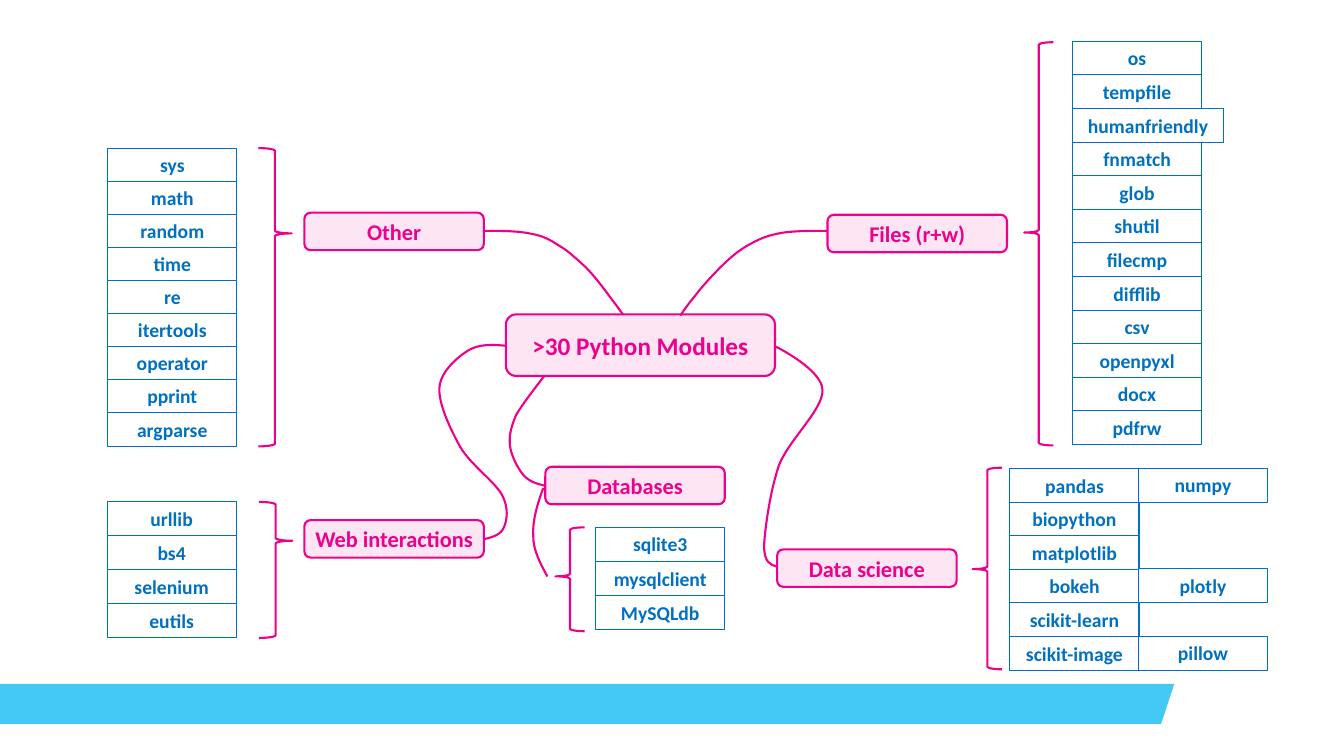
from dataclasses import dataclass

from lxml import etree
from pptx import Presentation
from pptx.dml.color import RGBColor
from pptx.enum.shapes import MSO_SHAPE
from pptx.enum.text import MSO_ANCHOR, MSO_AUTO_SIZE, PP_ALIGN
from pptx.oxml.ns import qn
from pptx.util import Pt

ROUNDED, RECTANGLE = MSO_SHAPE.ROUNDED_RECTANGLE, MSO_SHAPE.RECTANGLE
LEFT_BRACE, RIGHT_BRACE = MSO_SHAPE.LEFT_BRACE, MSO_SHAPE.RIGHT_BRACE
CENTER, MIDDLE, TOP = PP_ALIGN.CENTER, MSO_ANCHOR.MIDDLE, MSO_ANCHOR.TOP
FIT_SHAPE, NO_FIT = MSO_AUTO_SIZE.SHAPE_TO_FIT_TEXT, MSO_AUTO_SIZE.NONE

COLORS = {"pink": "EC008C", "blue": "0070C0", "sky": "44C8F5", "white": "FFFFFF"}
FONT = "Calibri"
MODULE_WIDTH, MODULE_HEIGHT = 92.2, 24.25
BRANCH_WIDTH, BRANCH_HEIGHT = 128.2, 26.8
WIDE_MODULES = {"humanfriendly": 108}


@dataclass
class Topic:
    text: str
    left: float
    top: float
    width: float = BRANCH_WIDTH
    height: float = BRANCH_HEIGHT
    size: float = 16


@dataclass
class ModuleColumn:
    left: float
    top: float
    pitch: float
    names: list[str]  # an empty name leaves its row free


@dataclass
class Brace:
    kind: int
    left: float
    top: float
    width: float
    height: float
    tip: float


TOPICS = [
    Topic(">30 Python Modules", 361.4, 224.6, 192.2, 44, 18),
    Topic("Other", 217.4, 151.9),
    Topic("Files (r+w)", 591.1, 153.4),
    Topic("Web interactions", 217.4, 371.5),
    Topic("Data science", 555.1, 392.4),
    Topic("Databases", 389.5, 333.4),
]

COLUMNS = [
    ModuleColumn(77, 105.8, 23.6, ["sys", "math", "random", "time", "re", "itertools",
                                   "operator", "pprint", "argparse"]),
    ModuleColumn(766.1, 29.5, 24, ["os", "tempfile", "humanfriendly", "fnmatch", "glob",
                                   "shutil", "filecmp", "difflib", "csv", "openpyxl",
                                   "docx", "pdfrw"]),
    ModuleColumn(76.5, 358.5, 24.25, ["urllib", "bs4", "selenium", "eutils"]),
    ModuleColumn(425.5, 376.7, 24.4, ["sqlite3", "mysqlclient", "MySQLdb"]),
    ModuleColumn(721.4, 334.7, 24, ["pandas", "biopython", "matplotlib", "bokeh",
                                    "scikit-learn", "scikit-image"]),
    ModuleColumn(813.2, 334.4, 24, ["numpy", "", "", "plotly", "", "pillow"]),
]

BRACES = [
    Brace(RIGHT_BRACE, 184.5, 105.8, 23.8, 213.1, 0.286),
    Brace(LEFT_BRACE, 731.5, 30.2, 20.9, 288, 0.472),
    Brace(RIGHT_BRACE, 185, 358.5, 23.8, 97.2, 0.286),
    Brace(LEFT_BRACE, 396.7, 376.7, 20.9, 74.2, 0.472),
    Brace(LEFT_BRACE, 694.8, 334.1, 20.9, 144, 0.503),
]

# Start point, then two control points and an end point for each Bézier piece
BRANCHES = {
    "Other": [
        (344.9, 164.9),
        (357.1, 164.9), (370.1, 164.9), (379.4, 167),
        (388.1, 168.5), (393.1, 171.4), (399.6, 175.7),
        (406.1, 179.3), (411.8, 185), (418.3, 190.8),
        (424.1, 196.6), (430.6, 205.2), (434.9, 211),
        (439.2, 216.7), (445, 224.6), (445, 224.6)],
    "Files": [
        (591.1, 164.9),
        (578.2, 164.9), (564.5, 164.9), (555.1, 167),
        (545, 169.2), (540, 172.1), (533.5, 175.7),
        (526.3, 180), (520.6, 185), (514.1, 191.5),
        (508.3, 197.3), (501.1, 205.2), (496.8, 211),
        (491.8, 216.7), (486, 225.4), (486, 225.4)],
    "Data science": [
        (554.4, 404.6),
        (550.1, 403.2), (545.8, 401.8), (545.8, 389.5),
        (546.5, 377.3), (550.1, 350.6), (556.6, 331.9),
        (563.8, 313.9), (588.2, 292.3), (587.5, 278.6),
        (587.5, 264.2), (554.4, 247.7), (554.4, 247.7)],
    "Databases": [
        (389.5, 347),
        (383.8, 345.6), (378, 344.2), (373.7, 339.1),
        (370.1, 334.8), (365, 325.4), (364.3, 318.2),
        (363.6, 311), (365, 305.3), (368.6, 296.6),
        (373, 288.7), (388.8, 268.6), (388.8, 268.6)],
    "Web interactions": [
        (345.6, 385.2),
        (351.4, 383.8), (357.8, 382.3), (360, 376.6),
        (362.2, 371.5), (363.6, 362.9), (358.6, 353.5),
        (353.5, 344.2), (337, 332.6), (329, 319.7),
        (321.8, 306.7), (313.2, 288.7), (313.9, 277.2),
        (314.6, 265.7), (326.2, 255.6), (334.1, 250.6),
        (342, 245.5), (352.1, 246.2), (361.4, 247)],
    "Database modules": [
        (391, 411.8),
        (385.9, 402.5), (380.9, 393.1), (380.9, 383),
        (380.2, 372.2), (383.8, 360), (388.1, 348.5)],
}


def paint(shape, fill=None, line=None, weight=1.5, opacity=100) -> None:
    shape.shadow.inherit = False
    if fill:
        shape.fill.solid()
        shape.fill.fore_color.rgb = RGBColor.from_string(COLORS[fill])
        if opacity < 100:
            color = shape._element.spPr.find(".//" + qn("a:srgbClr"))
            etree.SubElement(color, qn("a:alpha")).set("val", str(opacity * 1000))
    else:
        shape.fill.background()
    if line:
        shape.line.color.rgb = RGBColor.from_string(COLORS[line])
        shape.line.width = Pt(weight)
    else:
        shape.line.fill.background()


def write(shape, text: str, *, size: float, color: str, margin: float = 0,
          anchor=MIDDLE, fit=NO_FIT) -> None:
    frame = shape.text_frame
    frame.word_wrap, frame.auto_size, frame.vertical_anchor = True, fit, anchor
    frame.margin_left = frame.margin_right = Pt(margin)
    paragraph = frame.paragraphs[0]
    paragraph.text, paragraph.alignment = text, CENTER
    font = paragraph.font
    font.name, font.size, font.bold = FONT, Pt(size), True
    font.color.rgb = RGBColor.from_string(COLORS[color])


def add_preset(slide, kind, left: float, top: float, width: float, height: float):
    return slide.shapes.add_shape(kind, Pt(left), Pt(top), Pt(width), Pt(height))


def add_outline(slide, points: list[tuple[float, float]], close: bool):
    start, *others = [(Pt(x), Pt(y)) for x, y in points]
    builder = slide.shapes.build_freeform(*start)
    builder.add_line_segments(others, close=close)
    return builder.convert_to_shape()


def add_curve(slide, points: list[tuple[float, float]]) -> None:
    shape = add_outline(slide, points, close=False)
    outline = shape._element.find(".//" + qn("a:path"))
    segments = outline.findall(qn("a:lnTo"))
    for first in range(0, len(segments), 3):
        curve = etree.SubElement(outline, qn("a:cubicBezTo"))
        for segment in segments[first:first + 3]:
            curve.append(segment[0])
            outline.remove(segment)
    paint(shape, line="pink")


def add_topic(slide, topic: Topic) -> None:
    shape = add_preset(slide, ROUNDED, topic.left, topic.top, topic.width, topic.height)
    paint(shape, fill="pink", line="pink", opacity=10)
    write(shape, topic.text, size=topic.size, color="pink")


def add_column(slide, column: ModuleColumn) -> None:
    for row, name in enumerate(column.names):
        if name:
            shape = add_preset(slide, RECTANGLE, column.left, column.top + row * column.pitch,
                               WIDE_MODULES.get(name, MODULE_WIDTH), MODULE_HEIGHT)
            paint(shape, fill="white", line="blue", weight=0.75)
            write(shape, name, size=14, color="blue", margin=7.2, anchor=TOP, fit=FIT_SHAPE)


def add_brace(slide, brace: Brace) -> None:
    shape = add_preset(slide, brace.kind, brace.left, brace.top, brace.width, brace.height)
    shape.adjustments[0], shape.adjustments[1] = 0.083, brace.tip
    paint(shape, line="pink")


def main() -> None:
    presentation = Presentation()
    presentation.slide_width, presentation.slide_height = Pt(960), Pt(540)
    slide = presentation.slides.add_slide(presentation.slide_layouts[6])

    # Footer band
    band = add_outline(slide, [(0, 517), (0, 488.4), (838.8, 488.4), (829.4, 517)], close=True)
    paint(band, fill="sky")

    # Mind map
    for topic in TOPICS:
        add_topic(slide, topic)
    for column in COLUMNS:
        add_column(slide, column)
    for brace in BRACES:
        add_brace(slide, brace)
    for points in BRANCHES.values():
        add_curve(slide, points)

    presentation.save("out.pptx")


if __name__ == "__main__":
    main()
